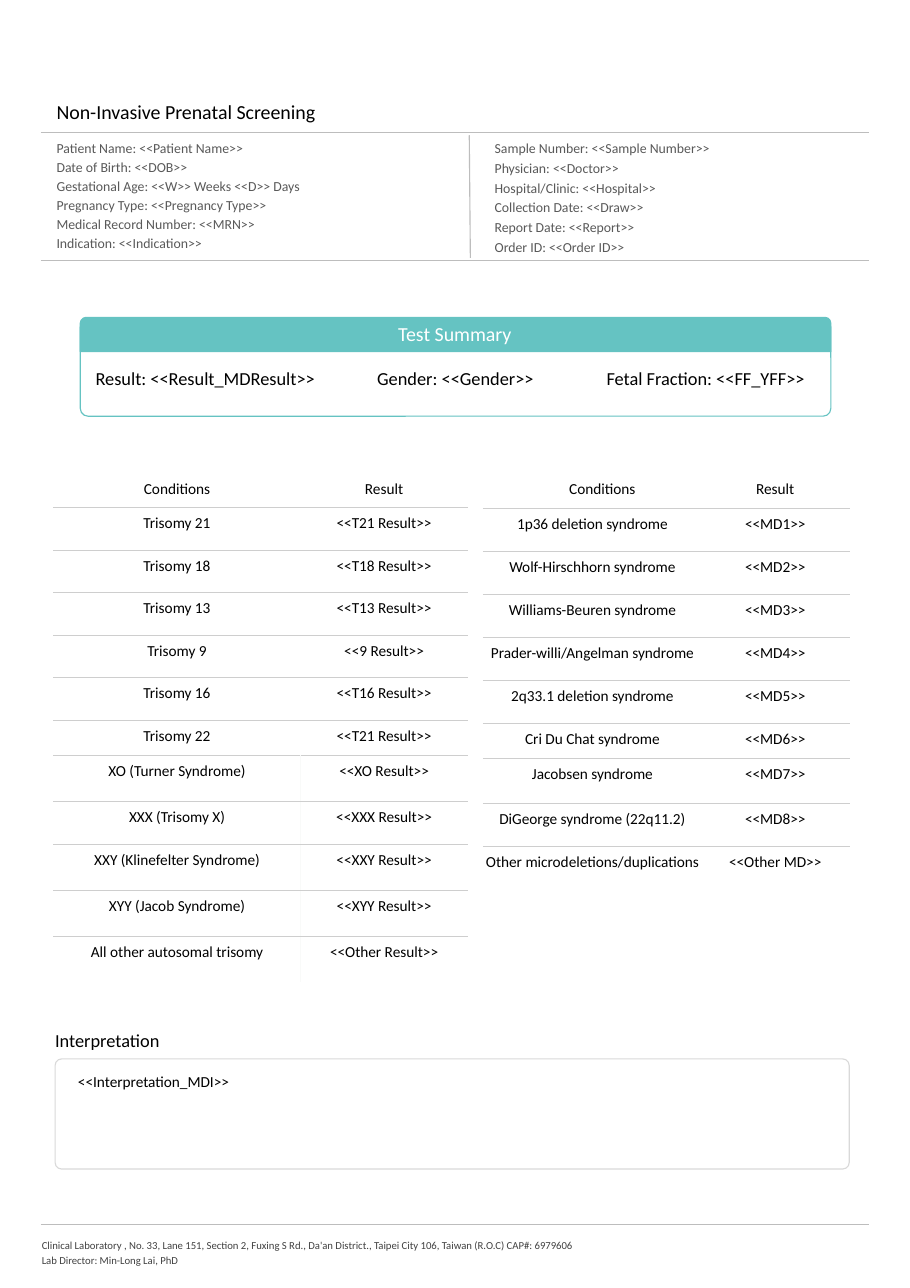
from lxml import etree
from pptx import Presentation
from pptx.dml.color import RGBColor
from pptx.enum.shapes import MSO_CONNECTOR, MSO_SHAPE
from pptx.enum.text import PP_ALIGN
from pptx.oxml.ns import qn
from pptx.util import Pt

LEFT, CENTER = PP_ALIGN.LEFT, PP_ALIGN.CENTER
ROUNDED = MSO_SHAPE.ROUNDED_RECTANGLE
ROUNDED_TOP = MSO_SHAPE.ROUND_2_SAME_RECTANGLE
STRAIGHT = MSO_CONNECTOR.STRAIGHT
FONT = "Calibri"
LINE_WIDTH = 0.75
COLORS = {
    "black": "000000", "white": "FFFFFF", "teal": "65C3C2",
    "detail": "595959", "footer": "414141", "rule": "BDBDBD",
    "row_rule": "CECECE", "column_rule": "F9FAF9", "frame": "D9D9D9",
}

PATIENT = [
    "Patient Name: <<Patient Name>>",
    "Date of Birth: <<DOB>>",
    "Gestational Age: <<W>> Weeks <<D>> Days",
    "Pregnancy Type: <<Pregnancy Type>>",
    "Medical Record Number: <<MRN>>",
    "Indication: <<Indication>>",
]
SAMPLE = [
    "Sample Number: <<Sample Number>>",
    "Physician: <<Doctor>>",
    "Hospital/Clinic: <<Hospital>>",
    "Collection Date: <<Draw>>",
    "Report Date: <<Report>>",
    "Order ID: <<Order ID>>",
]
SUMMARY = ["Result: <<Result_MDResult>>", "Gender: <<Gender>>", "Fetal Fraction: <<FF_YFF>>"]
TRISOMIES = [
    ("Conditions", "Result"),
    ("Trisomy 21", "<<T21 Result>>"),
    ("Trisomy 18", "<<T18 Result>>"),
    ("Trisomy 13", "<<T13 Result>>"),
    ("Trisomy 9", "<<9 Result>>"),
    ("Trisomy 16", "<<T16 Result>>"),
    ("Trisomy 22", "<<T21 Result>>"),
    ("XO (Turner Syndrome)", "<<XO Result>>"),
    ("XXX (Trisomy X)", "<<XXX Result>>"),
    ("XXY (Klinefelter Syndrome)", "<<XXY Result>>"),
    ("XYY (Jacob Syndrome)", "<<XYY Result>>"),
    ("All other autosomal trisomy", "<<Other Result>>"),
]
TRISOMY_HEIGHTS = [26.6] + [27.8] * 5 + [23, 30.1, 27.8] + [30.1] * 3
MICRODELETIONS = [
    ("Conditions", "Result"),
    ("1p36 deletion syndrome", "<<MD1>>"),
    ("Wolf-Hirschhorn syndrome", "<<MD2>>"),
    ("Williams-Beuren syndrome", "<<MD3>>"),
    ("Prader-willi/Angelman syndrome", "<<MD4>>"),
    ("2q33.1 deletion syndrome", "<<MD5>>"),
    ("Cri Du Chat syndrome", "<<MD6>>"),
    ("Jacobsen syndrome", "<<MD7>>"),
    ("DiGeorge syndrome (22q11.2)", "<<MD8>>"),
    ("Other microdeletions/duplications", "<<Other MD>>"),
]
MICRODELETION_HEIGHTS = [27.2, 27.7] + [28.1] * 4 + [23, 29.8, 27.7, 40]


def rgb(name):
    return RGBColor.from_string(COLORS[name])


def style_paragraph(paragraph, size, color, align=LEFT):
    paragraph.alignment = align
    for run in paragraph.runs:
        run.font.name = FONT
        run.font.size = Pt(size)
        run.font.color.rgb = rgb(color)


def add_text(slide, lines, x, y, width, height, size, color="black",
             align=LEFT, spacing=1.0, gap=0, inset=0):
    frame = slide.shapes.add_textbox(Pt(x), Pt(y), Pt(width), Pt(height)).text_frame
    frame.word_wrap = True
    frame.margin_left = frame.margin_right = frame.margin_bottom = Pt(inset)
    frame.margin_top = Pt(inset or 1)
    frame.text = "\n".join(lines)
    for index, paragraph in enumerate(frame.paragraphs):
        paragraph.line_spacing = spacing
        if index and gap:
            paragraph.space_before = Pt(gap)
        style_paragraph(paragraph, size, color, align)


def add_rule(slide, x1, y1, x2, y2):
    rule = slide.shapes.add_connector(STRAIGHT, Pt(x1), Pt(y1), Pt(x2), Pt(y2))
    rule.line.color.rgb = rgb("rule")
    rule.line.width = Pt(LINE_WIDTH)
    etree.SubElement(rule._element.spPr, qn("a:effectLst"))


def add_panel(slide, kind, x, y, width, height, corners, line, fill=None):
    panel = slide.shapes.add_shape(kind, Pt(x), Pt(y), Pt(width), Pt(height))
    panel.shadow.inherit = False
    for index, corner in enumerate(corners):
        panel.adjustments[index] = corner
    if fill:
        panel.fill.solid()
        panel.fill.fore_color.rgb = rgb(fill)
    else:
        panel.fill.background()
    panel.line.color.rgb = rgb(line)
    panel.line.width = Pt(LINE_WIDTH)


def set_borders(cell, left=None, right=None, top=None, bottom=None):
    properties = cell._tc.get_or_add_tcPr()
    for side, color in zip("LRTB", (left, right, top, bottom)):
        border = etree.SubElement(properties, qn(f"a:ln{side}"), w=str(Pt(LINE_WIDTH)))
        if color:
            paint = etree.SubElement(border, qn("a:solidFill"))
            etree.SubElement(paint, qn("a:srgbClr"), val=COLORS[color])
        else:
            etree.SubElement(border, qn("a:noFill"))


def add_plain_table(slide, x, y, widths, heights):
    table = slide.shapes.add_table(len(heights), len(widths), Pt(x), Pt(y),
                                   Pt(sum(widths)), Pt(sum(heights))).table
    table.first_row = table.horz_banding = False
    for column, width in zip(table.columns, widths):
        column.width = Pt(width)
    for row, height in zip(table.rows, heights):
        row.height = Pt(height)
    return table


def add_results(slide, x, y, widths, heights, results, divider_from=None, heading_shift=0):
    table = add_plain_table(slide, x, y, widths, heights)
    last = len(results) - 1
    for row, result in enumerate(results):
        divided = divider_from is not None and row >= divider_from
        divider = "column_rule" if divided else "white"
        for column, value in enumerate(result):
            cell = table.cell(row, column)
            cell.text = value
            cell.margin_left = Pt(heading_shift if row == column == 0 else 0)
            cell.margin_right = cell.margin_bottom = Pt(0)
            cell.margin_top = Pt(4.3 if row else 8.6)
            set_borders(cell,
                        left=divider if column else "white",
                        right="white" if column else divider,
                        top="row_rule" if row else "white",
                        bottom="white" if row == last else "row_rule")
            cell.fill.solid()
            cell.fill.fore_color.rgb = rgb("white")
            style_paragraph(cell.text_frame.paragraphs[0], 10, "black", CENTER)


def add_summary(slide):
    x, width = 52.5, 490.5
    add_panel(slide, ROUNDED, x, 208.8, width, 63.2, [0.08], "teal")
    add_panel(slide, ROUNDED_TOP, x, 207.4, width, 22.4, [0.17, 0], "teal", "teal")
    add_text(slide, ["Test Summary"], 179.5, 203.2, 235.5, 30, 13, "white", CENTER, inset=7.2)
    table = add_plain_table(slide, x, 236.9, [width / 3] * 3, [23])
    for column, value in enumerate(SUMMARY):
        cell = table.cell(0, column)
        cell.text = value
        set_borders(cell)
        cell.fill.background()
        style_paragraph(cell.text_frame.paragraphs[0], 12, "black", CENTER)


def main():
    deck = Presentation()
    deck.slide_width, deck.slide_height = Pt(594.72), Pt(841.68)
    slide = deck.slides.add_slide(deck.slide_layouts[6])

    add_text(slide, ["Non-Invasive Prenatal Screening"], 37, 64.3, 269, 17, 13)
    for y in (86.4, 170.4, 800):
        add_rule(slide, 26.8, y, 568, y)
    add_rule(slide, 306.7, 88.4, 307.4, 168.5)
    add_text(slide, PATIENT, 37, 88.6, 225, 76, 9, "detail", spacing=1.15)
    add_text(slide, SAMPLE, 323.3, 89, 225, 76, 9, "detail", spacing=1.15, gap=0.4)

    add_summary(slide)
    add_results(slide, 35, 305.3, [161.3, 109.4], TRISOMY_HEIGHTS, TRISOMIES, divider_from=7)
    add_results(slide, 315.8, 305.3, [142.6, 96.5], MICRODELETION_HEIGHTS, MICRODELETIONS,
                heading_shift=13)

    add_text(slide, ["Interpretation"], 36, 671.3, 92, 16, 12)
    add_text(slide, ["<<Interpretation_MDI>>"], 43.9, 694.8, 501, 27, 10, inset=7.2)
    add_panel(slide, ROUNDED, 36, 692, 519, 72, [0.06], "frame")

    add_text(slide, [
        "Clinical Laboratory , No. 33, Lane 151, Section 2, Fuxing S Rd., Da'an District., "
        "Taipei City 106, Taiwan (R.O.C) CAP#: 6979606",
        "Lab Director: Min-Long Lai, PhD",
    ], 27.3, 807.1, 430, 33, 7, "footer", spacing=1.19)
    deck.save("out.pptx")


if __name__ == "__main__":
    main()
